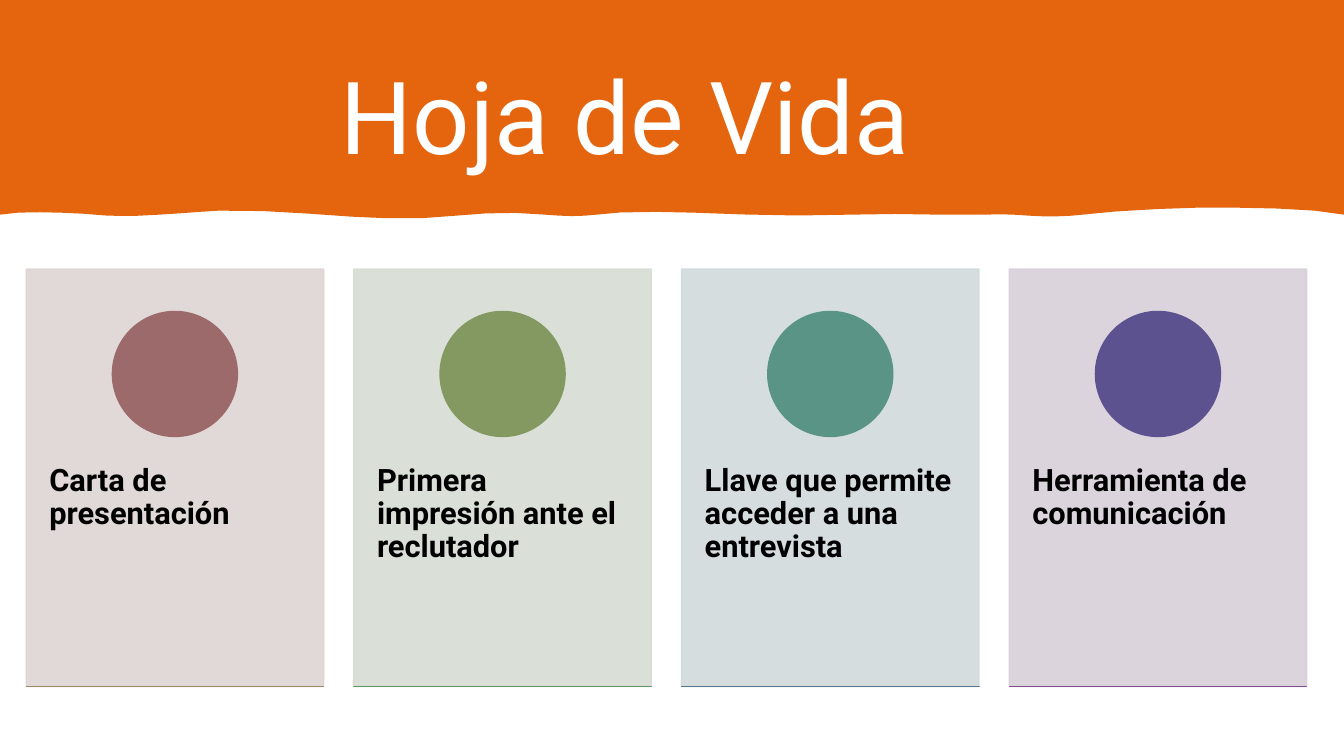
from dataclasses import dataclass

from lxml.etree import SubElement
from pptx import Presentation
from pptx.dml.color import RGBColor
from pptx.enum.shapes import MSO_SHAPE
from pptx.enum.text import MSO_ANCHOR, MSO_AUTO_SIZE, PP_ALIGN
from pptx.oxml.ns import qn
from pptx.util import Inches, Pt


@dataclass(frozen=True)
class Theme:
    font: str = "Roboto"
    title_size: int = 72
    card_size: int = 22
    background: str = "FFFFFF"
    banner: str = "E4650E"
    title: str = "FFFFFF"
    text: str = "000000"
    card_opacity: int = 90


theme = Theme()


def paint(fill, color, opacity=100):
    fill.solid()
    fill.fore_color.rgb = RGBColor.from_string(color)
    if opacity < 100:
        color_element = fill._xPr.find(qn("a:solidFill"))[0]
        SubElement(color_element, qn("a:alpha"), val=str(opacity * 1000))


def add_filled_shape(slide, kind, left, top, width, height, color, opacity=100):
    shape = slide.shapes.add_shape(
        kind, Inches(left), Inches(top), Inches(width), Inches(height))
    shape.shadow.inherit = False
    paint(shape.fill, color, opacity)
    paint(shape.line.fill, color, opacity)
    shape.line.width = Pt(1)
    return shape


presentation = Presentation()
presentation.slide_width = Inches(13.33)
presentation.slide_height = Inches(7.5)
slide = presentation.slides.add_slide(presentation.slide_layouts[5])

# White ground
ground = add_filled_shape(slide, MSO_SHAPE.RECTANGLE, 0, 0, 13.33, 7.5, theme.background)
ground.line.fill.background()

# Banner with a wavy lower edge: two control points and an end point per curve
wave_start = (13.04, 2.09)
wave_curves = [
    ((12.66, 2.06), (12.28, 2.06), (11.9, 2.06)),
    ((11.48, 2.07), (11.05, 2.09), (10.63, 2.14)),
    ((10.49, 2.15), (10.35, 2.15), (10.21, 2.14)),
    ((10.07, 2.13), (9.92, 2.12), (9.77, 2.13)),
    ((9.33, 2.14), (8.88, 2.11), (8.43, 2.13)),
    ((7.91, 2.15), (7.39, 2.13), (6.87, 2.11)),
    ((6.51, 2.1), (6.16, 2.09), (5.8, 2.14)),
    ((5.67, 2.15), (5.54, 2.14), (5.41, 2.13)),
    ((5.12, 2.1), (4.82, 2.11), (4.52, 2.14)),
    ((4.18, 2.18), (3.84, 2.17), (3.49, 2.15)),
    ((3.05, 2.12), (2.61, 2.08), (2.17, 2.09)),
    ((1.97, 2.1), (1.77, 2.12), (1.58, 2.13)),
    ((1.33, 2.15), (1.07, 2.15), (0.82, 2.12)),
    ((0.61, 2.11), (0.4, 2.1), (0.18, 2.11)),
]
steps = 3
outline = [(13.33, 0), (13.33, 2.13), wave_start]
for first, second, end in wave_curves:
    start = outline[-1]
    for step in range(1, steps + 1):
        t = step / steps
        outline.append(tuple(
            (1 - t) ** 3 * a + 3 * (1 - t) ** 2 * t * b + 3 * (1 - t) * t ** 2 * c + t ** 3 * d
            for a, b, c, d in zip(start, first, second, end)))
outline.append((0, 2.13))

builder = slide.shapes.build_freeform(0, 0)
builder.add_line_segments([(Inches(x), Inches(y)) for x, y in outline], close=True)
banner = builder.convert_to_shape()
banner.shadow.inherit = False
paint(banner.fill, theme.banner)
banner.line.fill.background()

# Title, brought in front of the banner
title = slide.shapes.title
slide.shapes._spTree.append(title._element)
title.left, title.top = Inches(3.28), Inches(0.4)
title.width, title.height = Inches(6.8), Inches(1.47)
title.text_frame.text = "Hoja de Vida"
title.text_frame.vertical_anchor = MSO_ANCHOR.MIDDLE
paragraph = title.text_frame.paragraphs[0]
paragraph.alignment = PP_ALIGN.LEFT
paragraph.font.name = theme.font
paragraph.font.size = Pt(theme.title_size)
paragraph.font.color.rgb = RGBColor.from_string(theme.title)

# Cards: text, panel colour, circle colour, base line colour
cards = [
    ("Carta de presentación", "DED4D4", "9C6A6A", "9B8A65"),
    ("Primera impresión ante el reclutador", "D7DDD3", "839961", "5D9661"),
    ("Llave que permite acceder a una entrevista", "D1DADC", "5A9486", "567691"),
    ("Herramienta de comunicación", "D8D0DA", "5B528F", "824F8C"),
]
card_left, card_top, card_pitch = 0.26, 2.67, 3.25
card_width, card_height = 2.95, 4.14
circle_size = 1.24

for index, (text, panel_color, circle_color, base_color) in enumerate(cards):
    left = card_left + index * card_pitch
    add_filled_shape(slide, MSO_SHAPE.RECTANGLE, left, card_top,
                     card_width, card_height, panel_color, theme.card_opacity)

    label = slide.shapes.add_textbox(
        Inches(left), Inches(4.25), Inches(card_width), Inches(2.48))
    frame = label.text_frame
    frame.word_wrap = True
    frame.auto_size = MSO_AUTO_SIZE.NONE
    frame.vertical_anchor = MSO_ANCHOR.TOP
    frame.margin_left = frame.margin_right = Inches(0.23)
    frame.margin_top = frame.margin_bottom = Inches(0.36)
    frame.text = text
    paragraph = frame.paragraphs[0]
    paragraph.line_spacing = 0.9
    paragraph.font.name = theme.font
    paragraph.font.size = Pt(theme.card_size)
    paragraph.font.bold = True
    paragraph.font.color.rgb = RGBColor.from_string(theme.text)

    add_filled_shape(slide, MSO_SHAPE.OVAL, left + (card_width - circle_size) / 2, 3.09,
                     circle_size, circle_size, circle_color)
    add_filled_shape(slide, MSO_SHAPE.RECTANGLE, left, card_top + card_height,
                     card_width, 0, base_color)

presentation.save("out.pptx")
